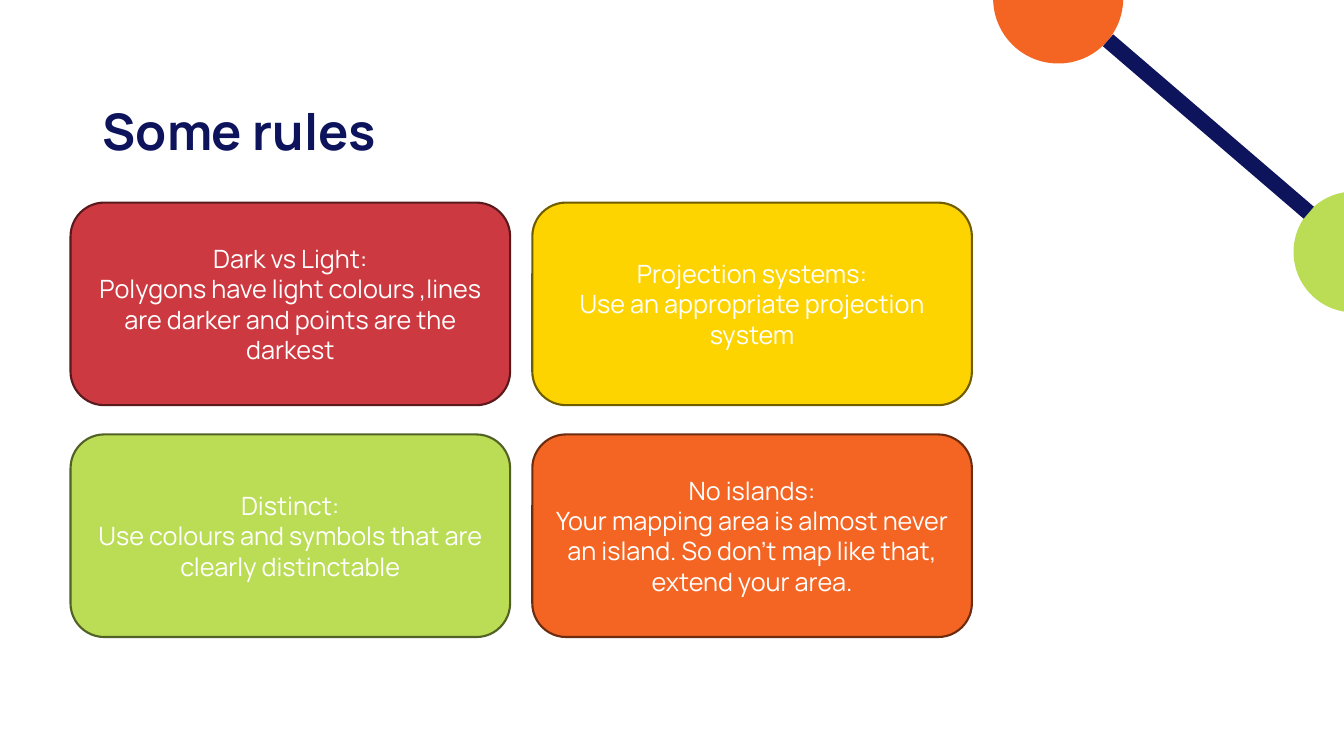
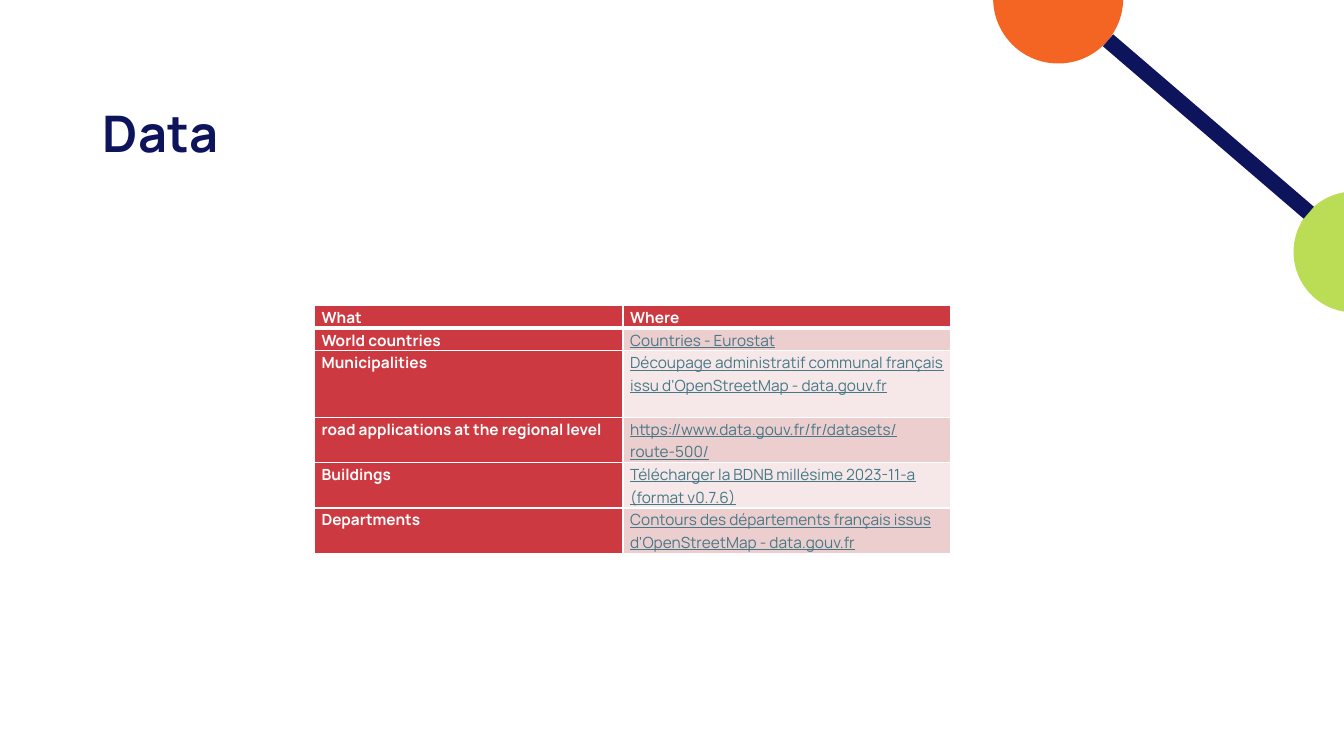
from dataclasses import dataclass

from pptx import Presentation
from pptx.dml.color import RGBColor
from pptx.enum.shapes import MSO_CONNECTOR as Connector, MSO_SHAPE as Shape
from pptx.enum.text import MSO_ANCHOR as Anchor, PP_ALIGN as Align
from pptx.oxml import parse_xml
from pptx.oxml.ns import nsdecls
from pptx.slide import Slide
from pptx.table import _Cell as Cell
from pptx.text.text import TextFrame
from pptx.util import Inches, Pt


# Theme
@dataclass(frozen=True)
class Theme:
    font: str = "Manrope"
    navy: str = "0D145C"
    white: str = "FFFFFF"
    red: str = "CD3940"
    yellow: str = "FED400"
    green: str = "BBDD55"
    orange: str = "F46523"
    link: str = "467886"
    bands: tuple[str, str] = ("EDCECF", "F6E8E8")
    title_size: float = 36
    rule_size: float = 18
    table_size: float = 11


THEME = Theme()


@dataclass(frozen=True)
class Circle:
    left: float
    top: float
    diameter: float
    color: str


@dataclass(frozen=True)
class Rule:
    heading: str
    advice: str
    fill: str
    outline: str


@dataclass(frozen=True)
class Dataset:
    what: str
    where: str
    lines: int


# Content
CIRCLES = (
    Circle(12.83, 1.9, 1.2, THEME.green),
    Circle(9.85, -0.66, 1.29, THEME.orange),
)
RULES = (
    Rule("Dark vs Light:",
         "Polygons have light colours ,lines are darker and points are the darkest",
         THEME.red, "5A191C"),
    Rule("Projection systems:", "Use an appropriate projection system",
         THEME.yellow, "6F5D00"),
    Rule("Distinct:", "Use colours and symbols that are clearly distinctable",
         THEME.green, "526125"),
    Rule("No islands:",
         "Your mapping area is almost never an island. So don’t map like that, "
         "extend your area.",
         THEME.orange, "6B2C0F"),
)
DATASETS = (
    Dataset("World countries", "Countries - Eurostat", 1),
    Dataset("Municipalities",
            "Découpage administratif communal français issu d'OpenStreetMap - "
            "data.gouv.fr", 3),
    Dataset("road applications at the regional level",
            "https://www.data.gouv.fr/fr/datasets/route-500/", 2),
    Dataset("Buildings",
            "Télécharger la BDNB millésime 2023-11-a (format v0.7.6)", 2),
    Dataset("Departments",
            "Contours des départements français issus d'OpenStreetMap - "
            "data.gouv.fr", 2),
)


# Shared helpers
def rgb(color: str) -> RGBColor:
    return RGBColor.from_string(color)


def write(frame: TextFrame, *lines: str, size: float, color: str,
          bold: bool = False, underline: bool = False,
          align: Align = Align.LEFT, anchor: Anchor | None = None,
          spacing: float = 1.0) -> None:
    """Fill a text frame with one paragraph per line."""
    frame.word_wrap = True
    if anchor is not None:
        frame.vertical_anchor = anchor
    for index, line in enumerate(lines):
        paragraph = frame.add_paragraph() if index else frame.paragraphs[0]
        paragraph.alignment = align
        paragraph.line_spacing = spacing
        paragraph.space_before = Pt(0)
        run = paragraph.add_run()
        run.text = line
        run.font.name = THEME.font
        run.font.size = Pt(size)
        run.font.bold = bold
        run.font.underline = underline
        run.font.color.rgb = rgb(color)


def add_corner_art(slide: Slide) -> None:
    """Draw the two linked circles in the top right corner."""
    for circle in CIRCLES:
        side = Inches(circle.diameter)
        disc = slide.shapes.add_shape(
            Shape.OVAL, Inches(circle.left), Inches(circle.top), side, side)
        disc.shadow.inherit = False
        disc.fill.solid()
        disc.fill.fore_color.rgb = rgb(circle.color)
        disc.line.fill.background()
    link = slide.shapes.add_connector(
        Connector.STRAIGHT,
        Inches(12.98), Inches(2.11), Inches(10.99), Inches(0.4))
    link.line.color.rgb = rgb(THEME.navy)
    link.line.width = Pt(11.25)
    link._element.spPr.append(parse_xml(f"<a:effectLst {nsdecls('a')}/>"))


def add_titled_slide(deck: Presentation, heading: str, title_top: float) -> Slide:
    slide = deck.slides.add_slide(deck.slide_layouts[5])
    add_corner_art(slide)
    title = slide.shapes.title
    title.left, title.top = Inches(0.92), Inches(title_top)
    title.width, title.height = Inches(10.23), Inches(0.75)
    write(title.text_frame, heading, size=THEME.title_size, color=THEME.navy,
          bold=True, anchor=Anchor.MIDDLE)
    return slide


# Rules slide
def add_rule_cards(slide: Slide) -> None:
    left, top, width, height = 0.7, 2.01, 4.36, 2.01
    gap_x, gap_y = 0.22, 0.29
    for index, rule in enumerate(RULES):
        row, column = divmod(index, 2)
        card = slide.shapes.add_shape(
            Shape.ROUNDED_RECTANGLE,
            Inches(left + column * (width + gap_x)),
            Inches(top + row * (height + gap_y)),
            Inches(width), Inches(height))
        card.shadow.inherit = False
        card.fill.solid()
        card.fill.fore_color.rgb = rgb(rule.fill)
        card.line.color.rgb = rgb(rule.outline)
        card.line.width = Pt(1.5)
        write(card.text_frame, rule.heading, rule.advice, size=THEME.rule_size,
              color=THEME.white, align=Align.CENTER, anchor=Anchor.MIDDLE)


# Data slide
def set_borders(cell: Cell, top: float = 1, bottom: float = 1) -> None:
    properties = cell._tc.get_or_add_tcPr()
    widths = {"lnL": 1, "lnR": 1, "lnT": top, "lnB": bottom}
    for position, (edge, width) in enumerate(widths.items()):
        properties.insert(position, parse_xml(
            f'<a:{edge} {nsdecls("a")} w="{Pt(width)}"><a:solidFill>'
            f'<a:srgbClr val="{THEME.white}"/></a:solidFill></a:{edge}>'))


def fill_cell(cell: Cell, text: str, fill: str, is_link: bool) -> None:
    cell.margin_left = cell.margin_right = Inches(0.07)
    cell.margin_top = cell.margin_bottom = 0
    cell.fill.solid()
    cell.fill.fore_color.rgb = rgb(fill)
    write(cell.text_frame, text, size=THEME.table_size, spacing=1.07,
          color=THEME.link if is_link else THEME.white,
          bold=not is_link, underline=is_link)


def add_dataset_table(slide: Slide) -> None:
    line_height = 0.22
    rows = (Dataset("What", "Where", 1), *DATASETS)
    total_lines = sum(row.lines for row in rows)
    table = slide.shapes.add_table(
        len(rows), 2, Inches(3.12), Inches(3.03), Inches(6.31),
        Inches(total_lines * line_height)).table
    table.horz_banding = False
    for column, width in zip(table.columns, (3.06, 3.25)):
        column.width = Inches(width)
    for index, row in enumerate(rows):
        is_header = index == 0
        table.rows[index].height = Inches(row.lines * line_height)
        band = THEME.red if is_header else THEME.bands[(index - 1) % 2]
        what, where = table.cell(index, 0), table.cell(index, 1)
        fill_cell(what, row.what, THEME.red, is_link=False)
        fill_cell(where, row.where, band, is_link=not is_header)
        for cell in (what, where):
            set_borders(cell, top=3 if index == 1 else 1,
                        bottom=3 if is_header else 1)


def main() -> None:
    deck = Presentation()
    deck.slide_width, deck.slide_height = Inches(13.33), Inches(7.5)
    add_rule_cards(add_titled_slide(deck, "Some rules", 0.92))
    add_dataset_table(add_titled_slide(deck, "Data", 0.94))
    deck.save("out.pptx")


if __name__ == "__main__":
    main()
